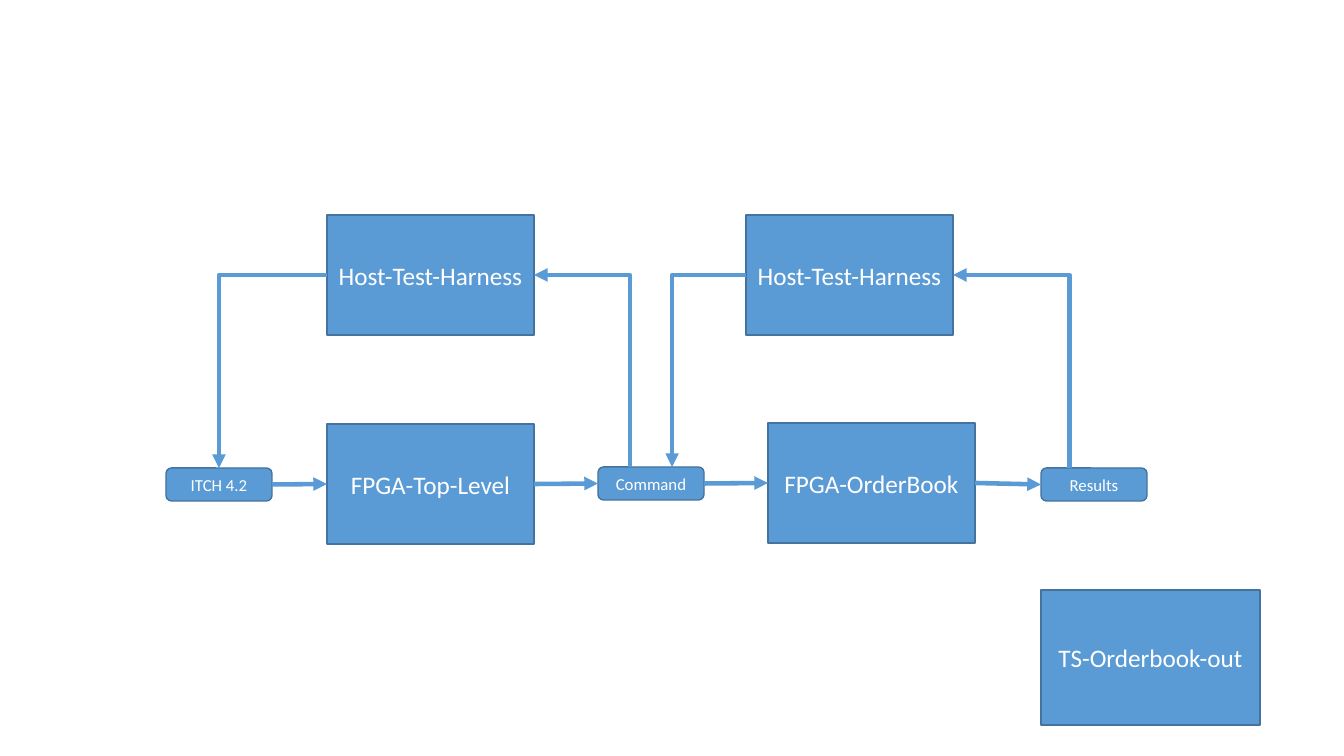
from pptx import Presentation
from pptx import util as u
from pptx.dml.color import RGBColor
from pptx.enum import shapes, text
from pptx.oxml.ns import qn
from lxml import etree

EMU_PER_PX = 914400 / 100.8
BLUE = RGBColor(0x5B, 0x9B, 0xD5)
EDGE = RGBColor(0x43, 0x73, 0x9E)
WHITE = RGBColor(0xFF, 0xFF, 0xFF)
RECT = shapes.MSO_SHAPE.RECTANGLE
ROUND = shapes.MSO_SHAPE.ROUNDED_RECTANGLE
BLOCK = (207, 120)
FILE = (106, 33)


def px(n):
    """Turn picture pixels into EMU."""
    return u.Emu(round(n * EMU_PER_PX))


def put_text(sp, words, size, color=WHITE, font="Calibri"):
    """Write one centred line into a shape."""
    tf = sp.text_frame
    tf.word_wrap = True
    tf.vertical_anchor = text.MSO_ANCHOR.MIDDLE
    p = tf.paragraphs[0]
    p.alignment = text.PP_ALIGN.CENTER
    r = p.add_run()
    r.text = words
    r.font.size = u.Pt(size)
    r.font.name = font
    r.font.color.rgb = color


def box(s, words, x, y, dims, kind=RECT, size=18):
    """Add a labelled box and return its (x, y, w, h) in pixels."""
    w, h = dims
    sp = s.shapes.add_shape(kind, px(x), px(y), px(w), px(h))
    sp.shadow.inherit = False
    sp.fill.solid()
    sp.fill.fore_color.rgb = BLUE
    sp.line.color.rgb = EDGE
    sp.line.width = u.Pt(1)
    put_text(sp, words, size)
    return x, y, w, h


def left(b):
    """Middle of a box's left side."""
    return b[0], b[1] + b[3] / 2


def right(b):
    """Middle of a box's right side."""
    return b[0] + b[2], b[1] + b[3] / 2


def top(b, along=0.5):
    """Point on a box's top side, given as a share of its width."""
    return b[0] + b[2] * along, b[1]


def arrow(s, start, end, kind=shapes.MSO_CONNECTOR.STRAIGHT):
    """Add a connector with a triangle at its end."""
    c = s.shapes.add_connector(kind, *map(px, (*start, *end)))
    c.line.color.rgb = BLUE
    c.line.width = u.Pt(3.25)
    etree.SubElement(c.line._get_or_add_ln(), qn("a:tailEnd"), type="triangle")
    etree.SubElement(c._element.spPr, qn("a:effectLst"))
    return c


def bent_arrow(s, start, end):
    """Add a one-corner arrow: left then down, or up then left."""
    rises = end[1] < start[1]
    if rises:
        # A quarter turn swaps width and height about the centre.
        cx, cy = (start[0] + end[0]) / 2, (start[1] + end[1]) / 2
        dx, dy = abs(start[0] - end[0]) / 2, abs(start[1] - end[1]) / 2
        start, end = (cx - dy, cy + dx), (cx + dy, cy - dx)
    c = arrow(s, start, end, shapes.MSO_CONNECTOR.ELBOW)
    sp_pr = c._element.spPr
    sp_pr.find(qn("a:prstGeom")).set("prst", "bentConnector2")
    if rises:
        sp_pr.find(qn("a:xfrm")).set("rot", str(270 * 60000))


def main():
    """Build the order book test flow."""
    prs = Presentation()
    prs.slide_width, prs.slide_height = px(1344), px(756)
    s = prs.slides.add_slide(prs.slide_layouts[6])

    top_level = box(s, "FPGA-Top-Level", 327, 424, BLOCK)
    itch = box(s, "ITCH 4.2", 166, 468, FILE, ROUND, 12)
    command = box(s, "Command", 598, 467, FILE, ROUND, 12)
    harness_1 = box(s, "Host-Test-Harness", 327, 215, BLOCK)
    order_book = box(s, "FPGA-OrderBook", 768, 423, BLOCK)
    results = box(s, "Results", 1041, 468, FILE, ROUND, 12)
    harness_2 = box(s, "Host-Test-Harness", 746, 215, BLOCK)
    box(s, "TS-Orderbook-out", 1041, 590, (219, 135))

    flow = [itch, top_level, command, order_book, results]
    for a, b in zip(flow, flow[1:]):
        arrow(s, right(a), left(b))

    bent_arrow(s, left(harness_1), top(itch))
    bent_arrow(s, top(command, 0.3), right(harness_1))
    bent_arrow(s, left(harness_2), top(command, 0.7))
    bent_arrow(s, top(results, 0.27), right(harness_2))

    prs.save("out.pptx")


main()
